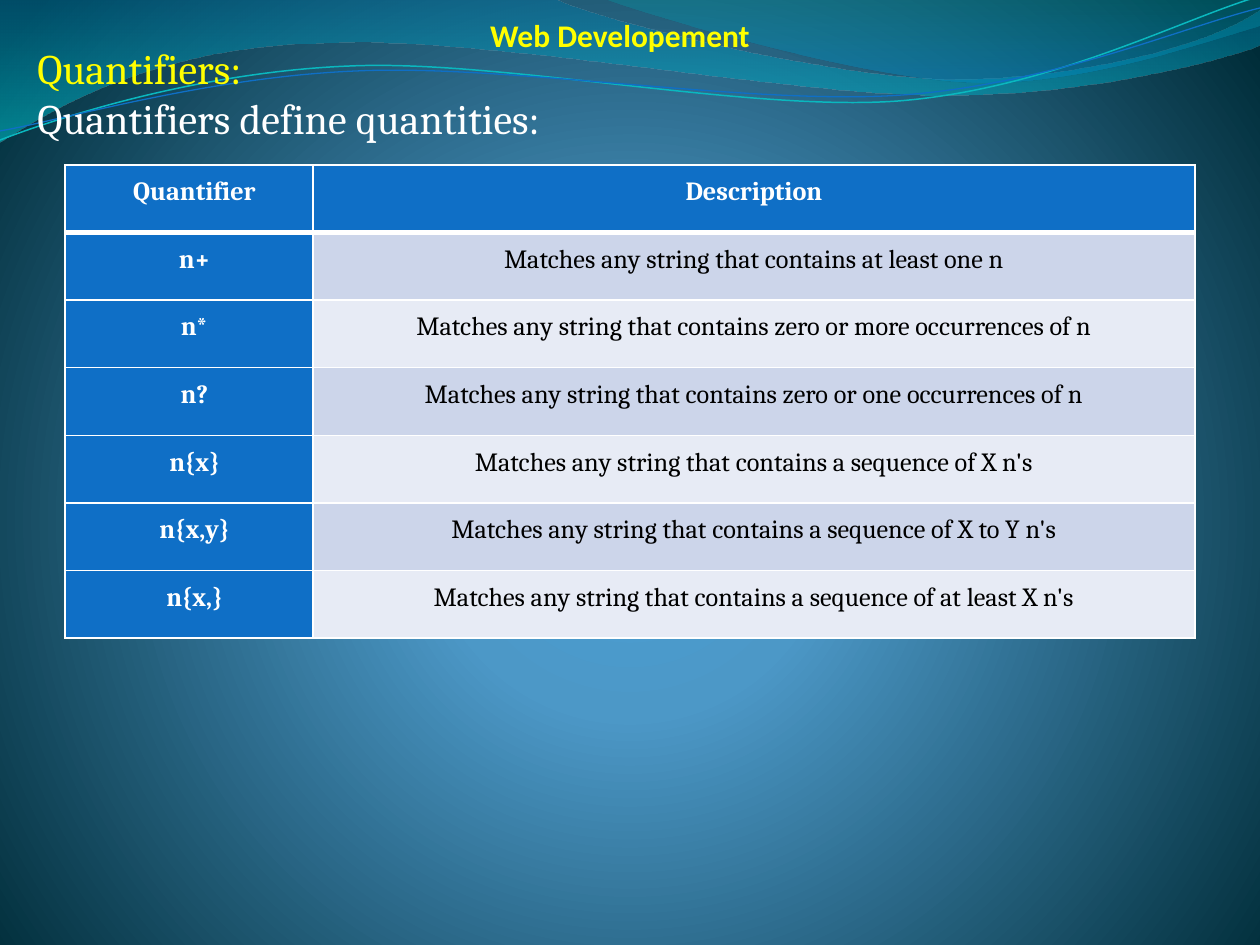
"""Build the Web Developement slide with its table of regular expression quantifiers."""
from lxml.etree import SubElement
from pptx import Presentation
from pptx.dml.color import RGBColor as Rgb
from pptx.enum.text import MSO_ANCHOR as Anchor, PP_ALIGN as Align
from pptx.oxml import parse_xml
from pptx.oxml.ns import nsdecls, qn
from pptx.util import Pt

PX = 914400 / 126
COLORS = {
    "white": "FFFFFF", "black": "000000", "yellow": "FFFF00", "blue": "0F6FC6",
    "cyan": "0AB8BF", "odd_row": "CCD5EA", "even_row": "E7EBF5",
    "glow": "4AA0D6", "sky": "4C98C7", "night": "002C38",
    "wave_blue": "0074A1", "wave_cyan": "00C6CF", "crest_teal": "00A1A9", "crest_blue": "008BBF",
}
LINEAR = '<a:lin ang="5400000" scaled="0"/>'
RADIAL = '<a:path path="circle"><a:fillToRect l="10000" t="110000" r="10000" b="100000"/></a:path>'


def set_gradient(properties, stops, direction):
    """Replace the solid fill by a gradient of (position, color, opacity) stops."""
    stop_xml = "".join(
        f'<a:gs pos="{position * 1000}"><a:srgbClr val="{COLORS[color]}">'
        f'<a:alpha val="{opacity * 1000}"/></a:srgbClr></a:gs>'
        for position, color, opacity in stops)
    gradient = parse_xml(f'<a:gradFill {nsdecls("a")} rotWithShape="1">'
                         f'<a:gsLst>{stop_xml}</a:gsLst>{direction}</a:gradFill>')
    properties.replace(properties.find(qn("a:solidFill")), gradient)


def add_wave(slide, segments, close):
    """Draw a freeform from a start point, corner points and cubic curves."""
    points = [point for segment in segments for point in segment]
    builder = slide.shapes.build_freeform(*points[0], scale=PX)
    builder.add_line_segments(points[1:], close=close)
    shape = builder.convert_to_shape()
    shape.shadow.inherit = False
    outline = shape.element.find(".//" + qn("a:path"))
    line_parts = iter(outline.findall(qn("a:lnTo")))
    for segment in segments[1:]:
        parts = [next(line_parts) for _ in segment]
        if len(parts) == 3:
            curve = SubElement(outline, qn("a:cubicBezTo"))
            parts[0].addprevious(curve)
            for part in parts:
                curve.append(part[0])
                outline.remove(part)
    return shape


presentation = Presentation()
presentation.slide_width = round(1260 * PX)
presentation.slide_height = round(945 * PX)
slide = presentation.slides.add_slide(presentation.slide_layouts[5])
slide.background.fill.solid()
slide.background.fill.fore_color.rgb = Rgb.from_string(COLORS["night"])
set_gradient(slide.element.find(".//" + qn("p:bgPr")),
             [(0, "glow", 100), (25, "sky", 100), (100, "night", 100)], RADIAL)

filled_waves = [
    ([[(0, 0)], [(554, -1)], [(600, 21), (837, 79), (955, 79)], [(1075, 79), (1207, 47), (1260, 11)],
      [(1261, 45)], [(1239, 55), (1096, 96), (940, 95)], [(784, 95), (481, 35), (324, 43)],
      [(163, 45), (58, 105), (-1, 142)]],
     [(0, "wave_blue", 45), (100, "wave_cyan", 55)]),
    ([[(604, -1)], [(641, 14), (859, 78), (969, 82)], [(1079, 87), (1211, 40), (1260, 26)], [(1260, 0)]],
     [(0, "crest_teal", 30), (80, "crest_blue", 45)]),
]
for segments, stops in filled_waves:
    wave = add_wave(slide, segments, True)
    wave.fill.solid()
    set_gradient(wave.element.spPr, stops, LINEAR)
    wave.line.fill.background()

wave_lines = [
    ([[(0, 140)], [(60, 117), (199, 72), (349, 66)], [(498, 59), (747, 112), (898, 101)],
      [(1050, 89), (1182, 19), (1257, -3)]], "cyan", 0.85),
    ([[(0, 131)], [(59, 121), (207, 77), (357, 71)], [(508, 64), (752, 106), (903, 95)],
      [(1053, 84), (1186, 26), (1260, 8)]], "blue", 0.75),
]
for segments, color, width in wave_lines:
    wave = add_wave(slide, segments, False)
    wave.fill.background()
    wave.line.color.rgb = Rgb.from_string(COLORS[color])
    wave.line.width = Pt(width)

title = slide.shapes.title
slide.shapes.element.append(title.element)
title.left, title.top, title.width, title.height = (round(value * PX) for value in (226, 10, 788, 50))
title.text_frame.text = "Web Developement"
title.text_frame.word_wrap = True
title.text_frame.vertical_anchor = Anchor.TOP
title.text_frame.paragraphs[0].alignment = Align.CENTER
title_font = title.text_frame.paragraphs[0].runs[0].font
title_font.name, title_font.size, title_font.bold = "Calibri", Pt(18), True
title_font.color.rgb = Rgb.from_string(COLORS["yellow"])

intro = slide.shapes.add_textbox(*(round(value * PX) for value in (25, 36, 1211, 217)))
intro.text_frame.text = "Quantifiers:\nQuantifiers define quantities:"
intro.text_frame.word_wrap = True
for paragraph, color in zip(intro.text_frame.paragraphs, ("yellow", "white")):
    font = paragraph.runs[0].font
    font.name, font.size = "Cambria", Pt(24)
    font.color.rgb = Rgb.from_string(COLORS[color])

rows = [
    ("Quantifier", "Description"),
    ("n+", "Matches any string that contains at least one n"),
    ("n*", "Matches any string that contains zero or more occurrences of n"),
    ("n?", "Matches any string that contains zero or one occurrences of n"),
    ("n{x}", "Matches any string that contains a sequence of X n's"),
    ("n{x,y}", "Matches any string that contains a sequence of X to Y n's"),
    ("n{x,}", "Matches any string that contains a sequence of at least X n's"),
]
table = slide.shapes.add_table(len(rows), 2, *(round(value * PX) for value in (65, 165, 1130, 473))).table
for column, width in zip(table.columns, (248, 882)):
    column.width = round(width * PX)
for row_index, row in enumerate(rows):
    for column_index, text in enumerate(row):
        cell = table.cell(row_index, column_index)
        heading = row_index == 0 or column_index == 0
        cell.text_frame.text = text
        cell.margin_left = round((10 if column_index else 21) * PX)
        cell.margin_top = cell.margin_right = cell.margin_bottom = round(10 * PX)
        paragraph = cell.text_frame.paragraphs[0]
        paragraph.alignment = Align.CENTER
        paragraph.line_spacing = 1.07
        paragraph.space_after = Pt(15)
        font = paragraph.runs[0].font
        font.name, font.size, font.bold = "Cambria", Pt(15), heading
        font.color.rgb = Rgb.from_string(COLORS["white" if heading else "black"])
        borders = {"L": 1, "R": 1, "T": 3 if row_index == 1 else 1, "B": 3 if row_index == 0 else 1}
        cell_properties = cell._tc.get_or_add_tcPr()
        for side, width in borders.items():
            cell_properties.append(parse_xml(
                f'<a:ln{side} {nsdecls("a")} w="{Pt(width)}"><a:solidFill>'
                f'<a:srgbClr val="{COLORS["white"]}"/></a:solidFill></a:ln{side}>'))
        cell.fill.solid()
        band = "odd_row" if row_index % 2 else "even_row"
        cell.fill.fore_color.rgb = Rgb.from_string(COLORS["blue" if heading else band])

presentation.save("out.pptx")
